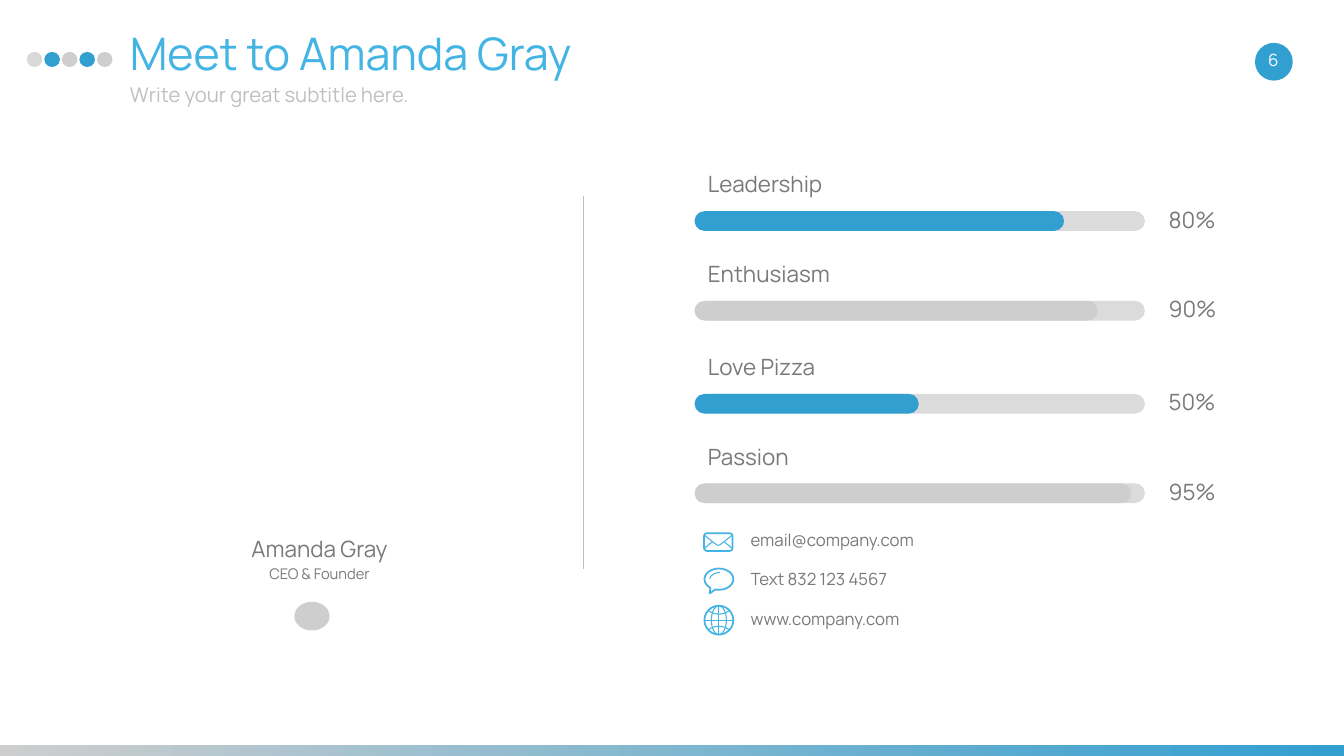
"""Build the team member profile slide on a grid of 160 columns by 90 rows."""
from dataclasses import dataclass

from lxml.etree import SubElement
from pptx import Presentation
from pptx.dml.color import RGBColor
from pptx.enum.shapes import MSO_CONNECTOR as Link, MSO_SHAPE as Preset
from pptx.enum.text import MSO_ANCHOR as Anchor, MSO_AUTO_SIZE as AutoSize, PP_ALIGN as Align
from pptx.oxml.ns import qn
from pptx.shapes.autoshape import Shape
from pptx.slide import Slide
from pptx.util import Emu, Inches, Pt

CELL = Inches(1) // 6
COLUMNS, ROWS = 160, 90
FONT = "Manrope"
BLUE = RGBColor(0x32, 0x9F, 0xD1)
SKY = RGBColor(0x43, 0xB4, 0xE3)
SILVER = RGBColor(0xCE, 0xCE, 0xCE)
PALE = RGBColor(0xD9, 0xD9, 0xD9)
TRACK = RGBColor(0xDB, 0xDB, 0xDB)
MIST = RGBColor(0xBF, 0xBF, 0xBF)
GREY = RGBColor(0x79, 0x79, 0x79)
WHITE = RGBColor(0xFF, 0xFF, 0xFF)
BOLD_STROKE, FINE_STROKE = 2.5, 1.5
WIDE_INSETS, SLIM_INSETS = (1.6, 0.8), (0.6, 0.3)


@dataclass(frozen=True)
class Box:
    """A rectangle in columns and rows."""
    left: float
    top: float
    width: float
    height: float

    def emu(self) -> tuple[Emu, ...]:
        """Return the rectangle in slide units."""
        return tuple(cells(n) for n in (self.left, self.top, self.width, self.height))


@dataclass(frozen=True)
class Skill:
    """A labelled progress bar."""
    label: str
    value: str
    top: float
    length: float
    color: RGBColor


@dataclass(frozen=True)
class Contact:
    """A contact line beside its icon."""
    label: str
    top: float


SKILLS = (
    Skill("Leadership", "80%", 25.14, 44, BLUE),
    Skill("Enthusiasm", "90%", 35.82, 48, SILVER),
    Skill("Love Pizza", "50%", 46.9, 26.7, BLUE),
    Skill("Passion", "95%", 57.54, 52, SILVER),
)
CONTACTS = (
    Contact("email@company.com", 62.28),
    Contact("Text 832 123 4567", 66.9),
    Contact("www.company.com", 71.7),
)


def cells(count: float) -> Emu:
    """Convert grid cells to slide units."""
    return Emu(round(count * CELL))


def write(holder: Shape, text: str, size: float, color: RGBColor, align: Align = Align.LEFT,
          insets: tuple[float, float] = WIDE_INSETS, anchor: Anchor = Anchor.TOP) -> None:
    """Set and format the single paragraph of a shape."""
    frame = holder.text_frame
    frame.text = text
    frame.word_wrap = True
    frame.auto_size = AutoSize.NONE
    frame.vertical_anchor = anchor
    frame.margin_left = frame.margin_right = cells(insets[0])
    frame.margin_top = frame.margin_bottom = cells(insets[1])
    paragraph = frame.paragraphs[0]
    paragraph.alignment = align
    paragraph.space_before = Pt(0)
    paragraph.line_spacing = 1.0
    font = paragraph.runs[0].font
    font.name, font.size, font.color.rgb = FONT, Pt(size), color


def add_text(slide: Slide, box: Box, *content, **style) -> None:
    """Add a formatted text box."""
    write(slide.shapes.add_textbox(*box.emu()), *content, **style)


def add_solid(slide: Slide, preset: Preset, box: Box, color: RGBColor) -> Shape:
    """Add a filled shape without a line."""
    solid = slide.shapes.add_shape(preset, *box.emu())
    solid.shadow.inherit = False
    solid.fill.solid()
    solid.fill.fore_color.rgb = color
    solid.line.fill.background()
    return solid


def outline(shape: Shape, weight: float) -> Shape:
    """Give an icon part a sky blue line and no fill."""
    shape.shadow.inherit = False
    shape.fill.background()
    shape.line.color.rgb = SKY
    shape.line.width = Pt(weight)
    return shape


def add_outline(slide: Slide, preset: Preset, box: Box, weight: float) -> Shape:
    """Add an unfilled icon part."""
    return outline(slide.shapes.add_shape(preset, *box.emu()), weight)


def add_stroke(slide: Slide, points: list[tuple[float, float]]) -> None:
    """Add a fine open line through grid points."""
    start, *others = [(cells(x), cells(y)) for x, y in points]
    builder = slide.shapes.build_freeform(*start)
    builder.add_line_segments(others, close=False)
    outline(builder.convert_to_shape(), FINE_STROKE)


def add_line(slide: Slide, start: tuple[float, float], end: tuple[float, float],
             color: RGBColor, weight: float) -> None:
    """Add a straight connector without a shadow."""
    line = slide.shapes.add_connector(Link.STRAIGHT, *map(cells, start + end))
    line.line.color.rgb = color
    line.line.width = Pt(weight)
    SubElement(line._element.spPr, qn("a:effectLst"))


def add_skill(slide: Slide, skill: Skill) -> None:
    """Draw one progress bar with its label and value."""
    for left, length, color in ((83.4, 52.9, TRACK), (82.68, skill.length, skill.color)):
        bar = add_solid(slide, Preset.ROUNDED_RECTANGLE, Box(left, skill.top, length, 2.34), color)
        bar.adjustments[0] = 0.5
    add_text(slide, Box(82.68, skill.top - 5.64, 53.6, 4.86), skill.label, 32, GREY)
    add_text(slide, Box(137.52, skill.top - 1.46, 10, 4.86), skill.value, 32, GREY)


def add_envelope(slide: Slide) -> None:
    """Draw the e-mail icon."""
    add_outline(slide, Preset.ROUNDED_RECTANGLE, Box(83.82, 63.47, 3.38, 2.12), BOLD_STROKE)
    add_stroke(slide, [(83.9, 63.75), (85.3, 64.85), (85.51, 64.92), (85.72, 64.85), (87.12, 63.75)])
    for corner, fold in ((83.9, 84.8), (87.12, 86.22)):
        add_line(slide, (corner, 65.25), (fold, 64.5), SKY, FINE_STROKE)


def add_bubble(slide: Slide) -> None:
    """Draw the text message icon."""
    bubble = add_outline(slide, Preset.OVAL_CALLOUT, Box(83.87, 67.68, 3.44, 2.54), BOLD_STROKE)
    bubble.adjustments[0], bubble.adjustments[1] = -0.32, 0.67
    gleam = add_outline(slide, Preset.ARC, Box(84.5, 68.16, 2.4, 1.5), FINE_STROKE)
    gleam.adjustments[0], gleam.adjustments[1] = 108, 162


def add_globe(slide: Slide) -> None:
    """Draw the web address icon."""
    x, y, radius = 85.58, 73.83, 1.72
    for half in (radius, 0.9):
        weight = BOLD_STROKE if half == radius else FINE_STROKE
        add_outline(slide, Preset.OVAL, Box(x - half, y - radius, 2 * half, 2 * radius), weight)
    add_line(slide, (x - radius, y), (x + radius, y), SKY, FINE_STROKE)
    add_line(slide, (x, y - radius), (x, y + radius), SKY, FINE_STROKE)
    for side in (-1, 1):
        add_stroke(slide, [(x + 1.24 * t / 4, y + side * (0.72 + 0.4 * (t / 4) ** 2))
                           for t in range(-4, 5)])


def main() -> None:
    """Compose and save the slide."""
    deck = Presentation()
    deck.slide_width, deck.slide_height = cells(COLUMNS), cells(ROWS)
    slide = deck.slides.add_slide(deck.slide_layouts[5])

    footer = add_solid(slide, Preset.RECTANGLE, Box(0, 88.74, COLUMNS, ROWS - 88.74), SILVER)
    footer.fill.gradient()
    footer.fill.gradient_angle = 0
    for stop, color in zip(footer.fill.gradient_stops, (SILVER, BLUE)):
        stop.color.rgb = color
    for index, color in enumerate((PALE, BLUE, SILVER, BLUE, SILVER)):
        add_solid(slide, Preset.OVAL, Box(3.18 + 2.09 * index, 6.18, 1.86, 1.8), color)

    title = slide.shapes.title
    title.left, title.top, title.width, title.height = Box(13.86, 2.22, 127.5, 9.6).emu()
    write(title, "Meet to Amanda Gray", 64, SKY)
    add_text(slide, Box(13.86, 9, 127.5, 5.1), "Write your great subtitle here.", 29, MIST)
    add_solid(slide, Preset.OVAL, Box(149.4, 5.1, 4.5, 4.5), BLUE)
    add_text(slide, Box(148.08, 4.68, 7, 4.8), "6", 24, WHITE, Align.CENTER, anchor=Anchor.MIDDLE)

    for top, text, size in ((63.42, "Amanda Gray", 32), (66.9, "CEO & Founder", 21)):
        add_text(slide, Box(26.7, top, 22.68, size * 0.12), text, size, GREY, Align.CENTER, SLIM_INSETS)
    add_solid(slide, Preset.OVAL, Box(35.04, 71.64, 4.2, 3.42), SILVER)
    add_line(slide, (69.36, 67.68), (69.36, 23.34), MIST, 0.25)

    for skill in SKILLS:
        add_skill(slide, skill)
    for contact, add_icon in zip(CONTACTS, (add_envelope, add_bubble, add_globe)):
        add_icon(slide)
        add_text(slide, Box(87.76, contact.top, 53.6, 4.86), contact.label, 24, GREY)
    deck.save("out.pptx")


if __name__ == "__main__":
    main()
